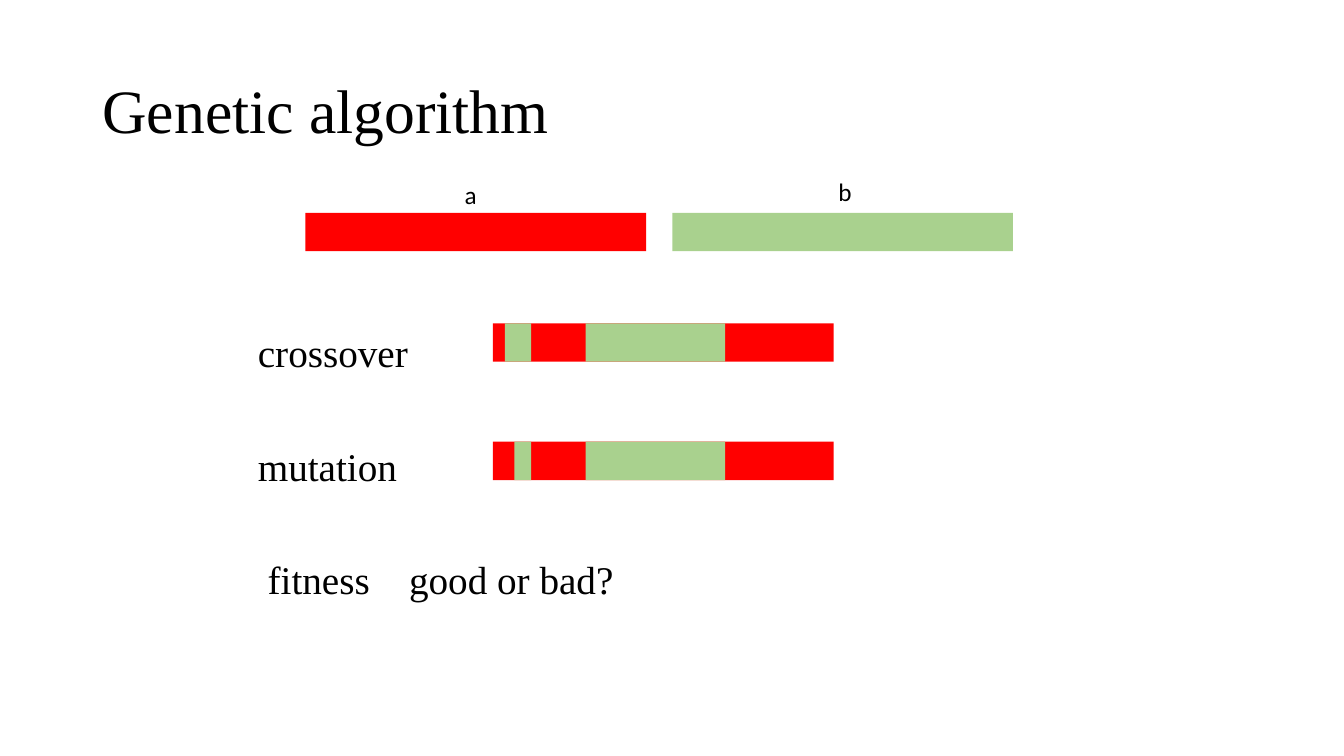
from pptx import Presentation
from pptx.dml.color import RGBColor
from pptx.enum.shapes import MSO_SHAPE
from pptx.enum.text import MSO_ANCHOR, MSO_AUTO_SIZE, PP_ALIGN
from pptx.util import Pt
from lxml.etree import SubElement
from pptx.oxml.ns import qn

COLORS = {"text": "000000", "red": "FF0000", "green": "A9D18E"}
SERIF = "Times New Roman"


def style(para, size, face):
    para.alignment = PP_ALIGN.LEFT
    para.font.size = Pt(size)
    para.font.name = face
    para.font.color.rgb = RGBColor.from_string(COLORS["text"])


def add_bar(left, top, width, color):
    bar = slide.shapes.add_shape(
        MSO_SHAPE.RECTANGLE, Pt(left), Pt(top), Pt(width), Pt(27.4))
    bar.shadow.inherit = False
    bar.fill.solid()
    bar.fill.fore_color.rgb = RGBColor.from_string(COLORS[color])
    bar.line.fill.background()


deck = Presentation()
deck.slide_width, deck.slide_height = Pt(960), Pt(540)
slide = deck.slides.add_slide(deck.slide_layouts[1])

title = slide.shapes.title
title.left, title.top, title.width, title.height = Pt(66), Pt(28.8), Pt(828), Pt(104.4)
title.text_frame.text = "Genetic algorithm"
title.text_frame.vertical_anchor = MSO_ANCHOR.MIDDLE
title.text_frame.auto_size = MSO_AUTO_SIZE.NONE
head = title.text_frame.paragraphs[0]
head.line_spacing = 0.9
style(head, 44, SERIF)

body = slide.placeholders[1]
body.left, body.top, body.width, body.height = Pt(72), Pt(147.6), Pt(828), Pt(342.7)
frame = body.text_frame
frame.auto_size = MSO_AUTO_SIZE.NONE
frame.margin_left, frame.margin_top = Pt(112.2), Pt(90.7)
frame.text = "crossover\nmutation\nfitness\tgood or bad?"
for row, para in enumerate(frame.paragraphs):
    para.line_spacing = 0.9
    para.space_before = Pt(51 if row else 0)
    props = para._p.get_or_add_pPr()
    props.set("marL", "0")
    props.set("indent", str(Pt(7 if row == 2 else 0)))
    SubElement(props, qn("a:buNone"))
    if row == 2:
        tabs = SubElement(props, qn("a:tabLst"))
        SubElement(tabs, qn("a:tab"), pos=str(Pt(220)), algn="l")
    style(para, 28, SERIF)

add_bar(218.2, 152, 243.4, "red")
add_bar(480.2, 152, 243.4, "green")

for top, start in [(231, 360.7), (315.5, 367.4)]:
    add_bar(352.1, top, 243.4, "red")
    add_bar(418.4, top, 99.6, "green")
    add_bar(start, top, 379.4 - start, "green")

for name, left, top in [("a", 324.7, 124.6), ("b", 591.8, 122.4)]:
    label = slide.shapes.add_textbox(Pt(left), Pt(top), Pt(27.4), Pt(29))
    label.text_frame.word_wrap = True
    label.text_frame.text = name
    style(label.text_frame.paragraphs[0], 18, "Calibri")

deck.save("out.pptx")
